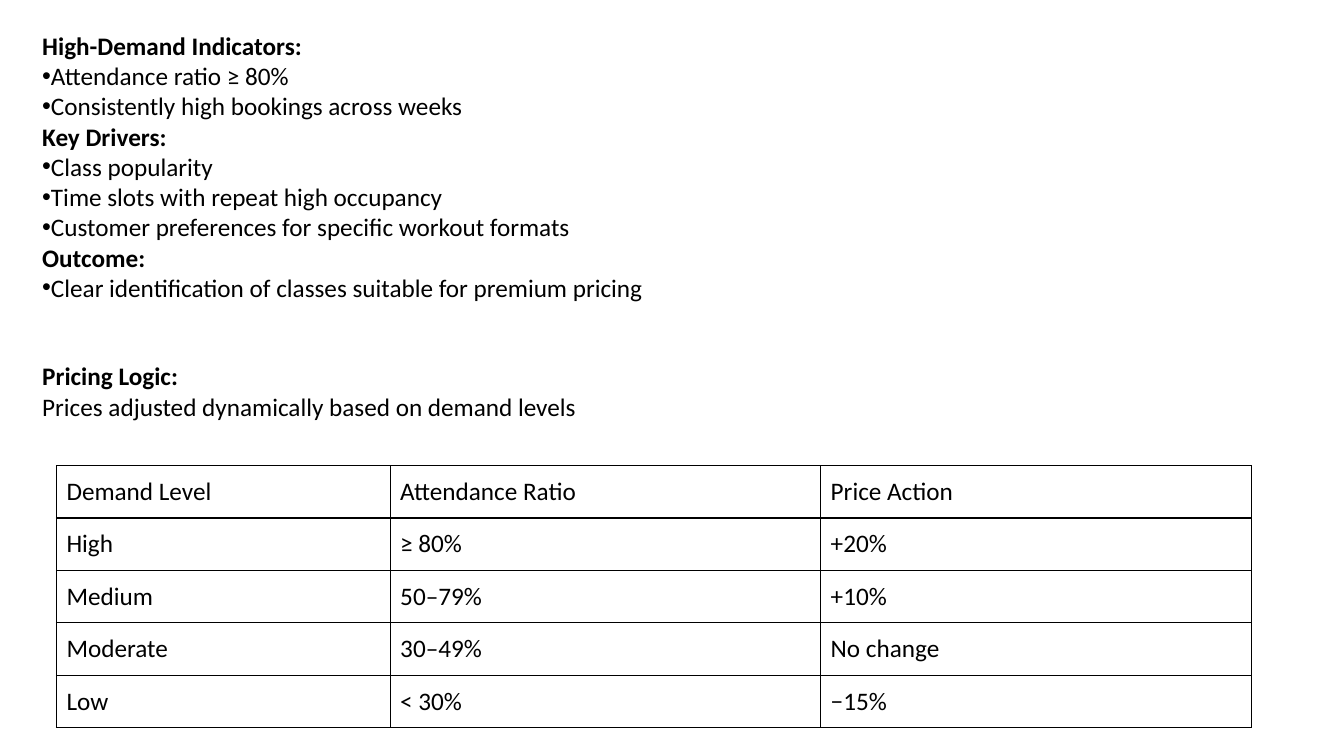
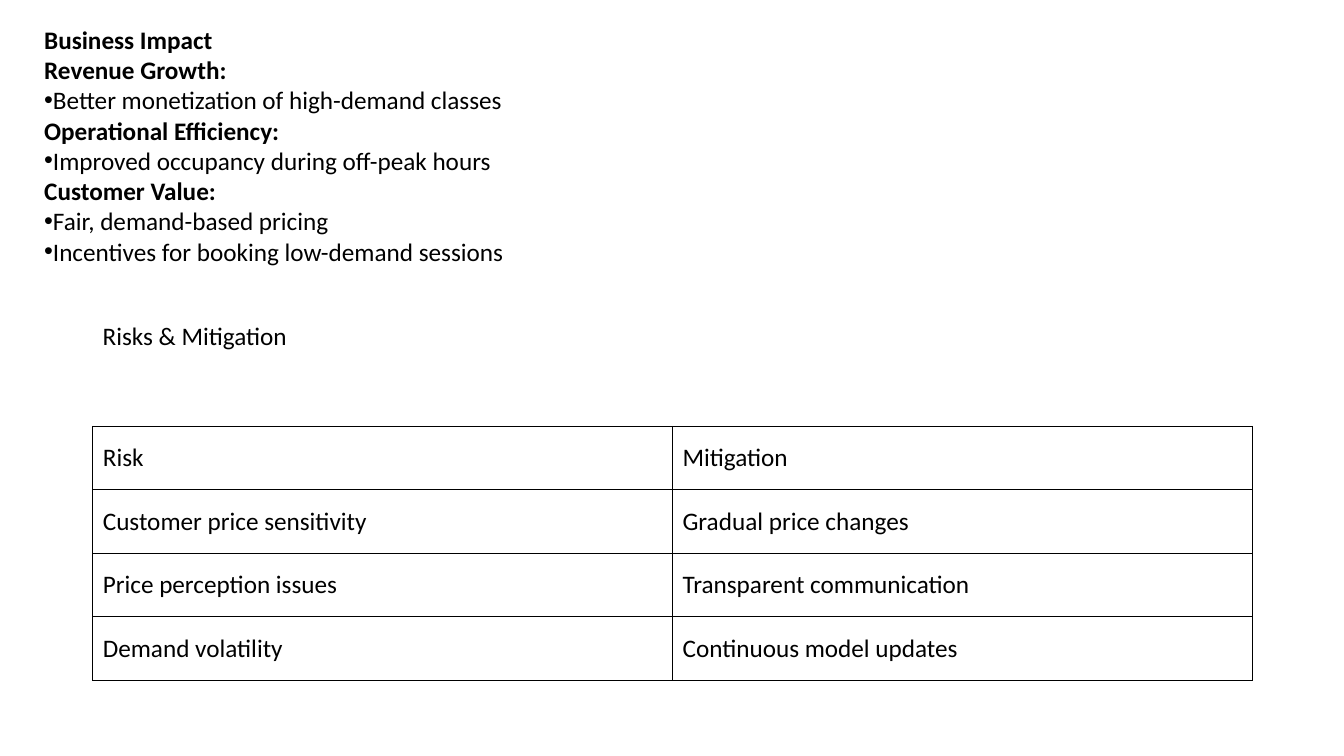
from lxml.etree import SubElement
from pptx import Presentation
from pptx.dml.color import RGBColor
from pptx.enum.text import MSO_ANCHOR as Anchor, MSO_AUTO_SIZE as AutoSize
from pptx.oxml.ns import qn
from pptx.util import Inches, Pt

BLACK = RGBColor(0x00, 0x00, 0x00)
FONT = "Calibri"
BODY_SIZE = Pt(18)
BORDER_WIDTH = Pt(1)

HEADING = {"bold": True}
BULLET = {"bullet": "•"}
PLAIN = {}


def write_text(para, text, bold=False, bullet=None):
    span = para.add_run()
    span.text = text
    span.font.name = FONT
    span.font.size = BODY_SIZE
    span.font.bold = bold
    span.font.color.rgb = BLACK
    if bullet:
        properties = para._p.get_or_add_pPr()
        SubElement(properties, qn("a:buFont"), typeface="Arial")
        SubElement(properties, qn("a:buChar"), char=bullet)


def add_border(cell):
    properties = cell._tc.get_or_add_tcPr()
    for side in ("lnL", "lnR", "lnT", "lnB"):
        line = SubElement(properties, qn(f"a:{side}"), w=str(BORDER_WIDTH))
        fill = SubElement(line, qn("a:solidFill"))
        SubElement(fill, qn("a:srgbClr"), val=str(BLACK))


# Content: text boxes as (left, top, width, height, lines), one table per slide
pricing = {
    "boxes": [
        (0.32, 0.25, 12.75, 2.83, [
            ("High-Demand Indicators:", HEADING),
            ("Attendance ratio ≥ 80%", BULLET),
            ("Consistently high bookings across weeks", BULLET),
            ("Key Drivers:", HEADING),
            ("Class popularity", BULLET),
            ("Time slots with repeat high occupancy", BULLET),
            ("Customer preferences for specific workout formats", BULLET),
            ("Outcome:", HEADING),
            ("Clear identification of classes suitable for premium pricing", BULLET),
        ]),
        (0.32, 3.53, 9.68, 0.71, [
            ("Pricing Logic:", HEADING),
            ("Prices adjusted dynamically based on demand levels", PLAIN),
        ]),
    ],
    "corner": (0.56, 4.62),
    "columns": [3.31, 4.27, 4.27],
    "row_height": 0.52,
    "rows": [
        ("Demand Level", "Attendance Ratio", "Price Action"),
        ("High", "≥ 80%", "+20%"),
        ("Medium", "50–79%", "+10%"),
        ("Moderate", "30–49%", "No change"),
        ("Low", "< 30%", "−15%"),
    ],
}
impact = {
    "boxes": [
        (0.34, 0.19, 12.34, 2.52, [
            ("Business Impact", HEADING),
            ("Revenue Growth:", HEADING),
            ("Better monetization of high-demand classes", BULLET),
            ("Operational Efficiency:", HEADING),
            ("Improved occupancy during off-peak hours", BULLET),
            ("Customer Value:", HEADING),
            ("Fair, demand-based pricing", BULLET),
            ("Incentives for booking low-demand sessions", BULLET),
        ]),
        (0.92, 3.13, 6.77, 0.4, [("Risks & Mitigation", PLAIN)]),
    ],
    "corner": (0.92, 4.23),
    "columns": [5.75, 5.75],
    "row_height": 0.63,
    "rows": [
        ("Risk", "Mitigation"),
        ("Customer price sensitivity", "Gradual price changes"),
        ("Price perception issues", "Transparent communication"),
        ("Demand volatility", "Continuous model updates"),
    ],
}

deck = Presentation()
deck.slide_width = Inches(13.33)
deck.slide_height = Inches(7.5)
blank = deck.slide_layouts[6]

for content in (pricing, impact):
    page = deck.slides.add_slide(blank)

    # Text boxes
    for *place, lines in content["boxes"]:
        frame = page.shapes.add_textbox(*map(Inches, place)).text_frame
        frame.word_wrap = True
        frame.auto_size = AutoSize.SHAPE_TO_FIT_TEXT
        for index, (text, style) in enumerate(lines):
            para = frame.add_paragraph() if index else frame.paragraphs[0]
            write_text(para, text, **style)

    # Table
    rows, widths = content["rows"], content["columns"]
    left, top = content["corner"]
    size = sum(widths), content["row_height"] * len(rows)
    table = page.shapes.add_table(
        len(rows), len(widths), *map(Inches, (left, top, *size))).table
    table.first_row = False
    table.horz_banding = False
    for column, width in zip(table.columns, widths):
        column.width = Inches(width)
    for row, texts in zip(table.rows, rows):
        row.height = Inches(content["row_height"])
        for cell, text in zip(row.cells, texts):
            cell.vertical_anchor = Anchor.MIDDLE
            add_border(cell)
            cell.fill.background()
            write_text(cell.text_frame.paragraphs[0], text)

deck.save("out.pptx")
